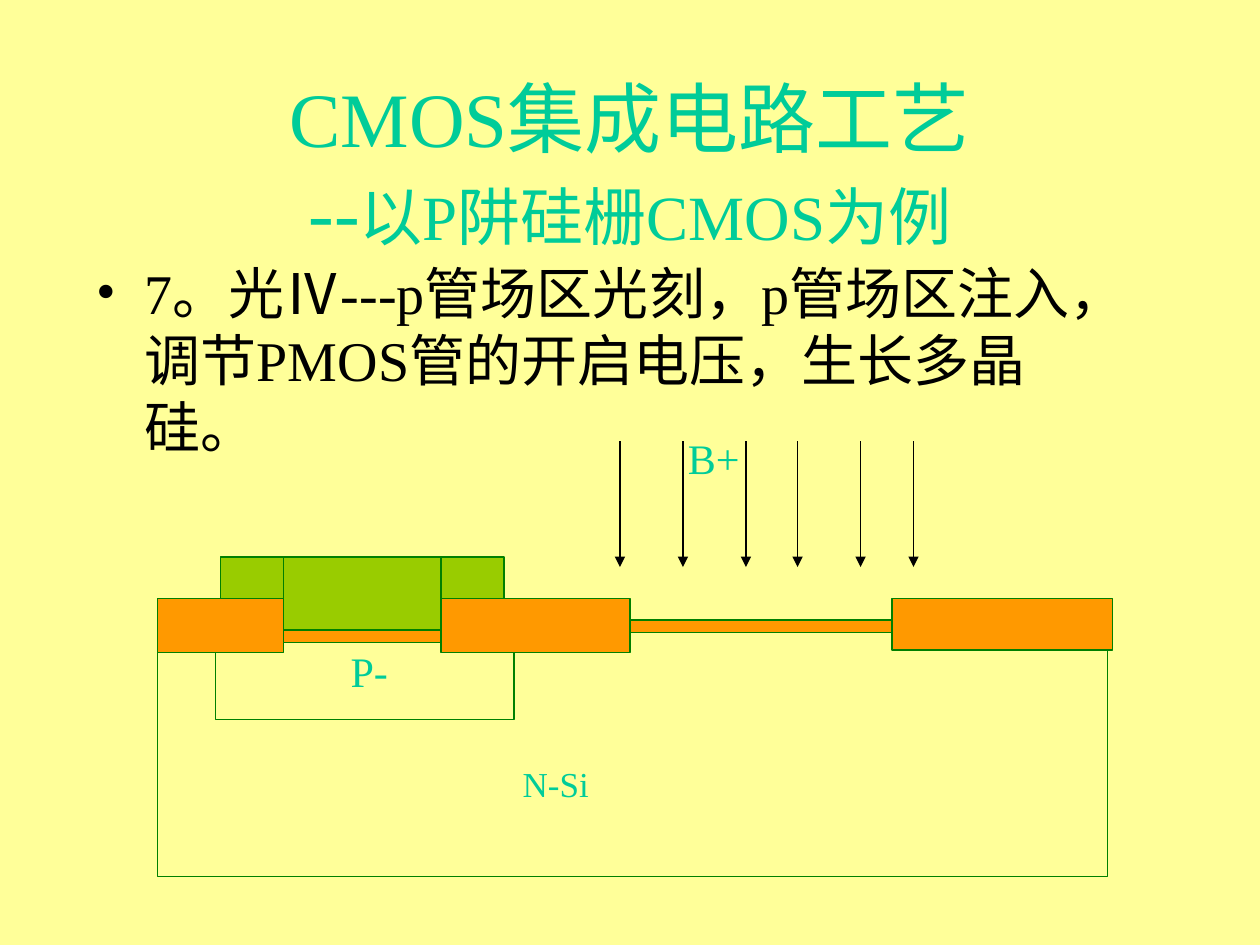
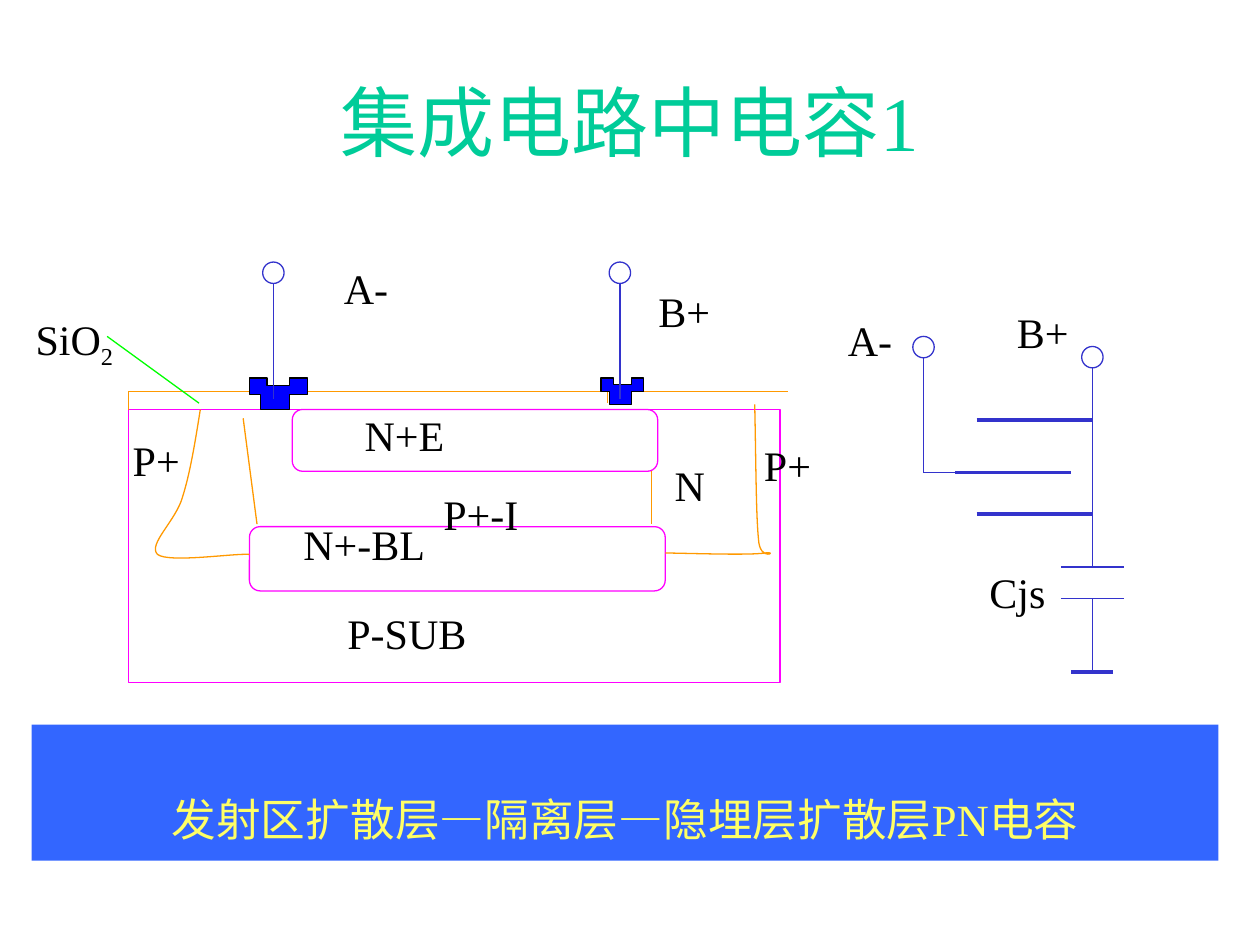
from dataclasses import dataclass

from lxml.etree import SubElement
from pptx import Presentation
from pptx.dml.color import RGBColor
from pptx.enum.shapes import MSO_CONNECTOR, MSO_SHAPE
from pptx.enum.text import MSO_ANCHOR, PP_ALIGN
from pptx.oxml.ns import qn
from pptx.shapes.autoshape import Shape
from pptx.slide import Slide
from pptx.util import Inches, Pt

FONT = "Times New Roman"
COLORS = {
    "cream": "FFFF99",
    "white": "FFFFFF",
    "teal": "00CC99",
    "black": "000000",
    "green": "008000",
    "oxide": "FF9900",
    "poly": "99CC00",
    "magenta": "FF00FF",
    "metal": "0000FF",
    "lime": "00FF00",
    "circuit": "3333CC",
    "band": "3366FF",
    "yellow": "FFFF66",
}
Point = tuple[float, float]


@dataclass
class Words:
    text: str
    size: float = 24
    color: str = "black"
    baseline: int = 0


@dataclass
class Label:
    left: float
    top: float
    width: float
    height: float
    words: list[Words]
    align: PP_ALIGN = PP_ALIGN.CENTER
    anchor: MSO_ANCHOR = MSO_ANCHOR.MIDDLE


@dataclass
class Region:
    left: float
    top: float
    width: float
    height: float
    fill: str = ""
    line: str = "green"
    kind: MSO_SHAPE = MSO_SHAPE.RECTANGLE


@dataclass
class Wire:
    start: Point
    end: Point
    color: str = "circuit"
    weight: float = 0.75
    arrow: bool = False


def rgb(name: str) -> RGBColor:
    return RGBColor.from_string(COLORS[name])


def new_slide(deck: Presentation, background: str) -> Slide:
    slide = deck.slides.add_slide(deck.slide_layouts[6])
    slide.background.fill.solid()
    slide.background.fill.fore_color.rgb = rgb(background)
    return slide


def paint(shape: Shape, fill: str, line: str) -> None:
    shape.shadow.inherit = False
    if fill:
        shape.fill.solid()
        shape.fill.fore_color.rgb = rgb(fill)
    else:
        shape.fill.background()
    if line:
        shape.line.color.rgb = rgb(line)
        shape.line.width = Pt(0.75)
    else:
        shape.line.fill.background()


def write(shape: Shape, label: Label, bullet: str = "") -> None:
    frame = shape.text_frame
    frame.word_wrap = True
    frame.vertical_anchor = label.anchor
    paragraph = frame.paragraphs[0]
    paragraph.alignment = label.align
    if bullet:
        properties = paragraph._p.get_or_add_pPr()
        properties.set("marL", str(Inches(0.38)))
        properties.set("indent", str(-Inches(0.38)))
        properties.set("hangingPunct", "0")
        SubElement(properties, qn("a:buFont")).set("typeface", FONT)
        SubElement(properties, qn("a:buChar")).set("char", bullet)
    for words in label.words:
        for index, line in enumerate(words.text.split("\n")):
            if index:
                paragraph.add_line_break()
            run = paragraph.add_run()
            run.text = line
            run.font.name = FONT
            run.font.size = Pt(words.size)
            run.font.color.rgb = rgb(words.color)
            if words.baseline:
                run._r.get_or_add_rPr().set("baseline", str(words.baseline * 1000))


def draw_label(slide: Slide, label: Label, bullet: str = "") -> None:
    area = map(Inches, (label.left, label.top, label.width, label.height))
    write(slide.shapes.add_textbox(*area), label, bullet)


def draw_title(slide: Slide, top: float, words: list[Words]) -> None:
    draw_label(slide, Label(0.75, top, 8.5, 1.25, words))


def draw_region(slide: Slide, region: Region) -> Shape:
    area = map(Inches, (region.left, region.top, region.width, region.height))
    shape = slide.shapes.add_shape(region.kind, *area)
    paint(shape, region.fill, region.line)
    return shape


def draw_wire(slide: Slide, wire: Wire) -> None:
    ends = map(Inches, (*wire.start, *wire.end))
    connector = slide.shapes.add_connector(MSO_CONNECTOR.STRAIGHT, *ends)
    connector.line.color.rgb = rgb(wire.color)
    connector.line.width = Pt(wire.weight)
    if wire.arrow:
        SubElement(connector.line._get_or_add_ln(), qn("a:tailEnd")).set("type", "triangle")
    SubElement(connector._element.spPr, qn("a:effectLst"))


def draw_outline(slide: Slide, points: list[Point], fill: str, line: str, close: bool) -> Shape:
    corners = [(Inches(x), Inches(y)) for x, y in points]
    builder = slide.shapes.build_freeform(*corners[0])
    builder.add_line_segments(corners[1:], close=close)
    shape = builder.convert_to_shape()
    paint(shape, fill, line)
    return shape


def draw_junction(slide: Slide, nodes: list[Point]) -> None:
    junction = draw_outline(slide, nodes, "", "oxide", False)
    segments = list(junction._element.iter(qn("a:lnTo")))
    outline = segments[0].getparent()
    for first in range(0, len(segments), 3):
        curve = SubElement(outline, qn("a:cubicBezTo"))
        for segment in segments[first:first + 3]:
            curve.append(segment[0])
            outline.remove(segment)


def draw_contact(slide: Slide, xs: tuple[float, ...], ys: tuple[float, ...]) -> None:
    left, stem, notch_left, notch_right, right = xs
    top, notch, shoulder, foot = ys
    draw_outline(slide, [
        (left, shoulder), (left, top), (notch_left, top), (notch_left, notch),
        (notch_right, notch), (notch_right, top), (right, top), (right, shoulder),
        (notch_right, shoulder), (notch_right, foot), (stem, foot), (stem, shoulder),
    ], "metal", "black", True)


def draw_terminal(slide: Slide, x: float, top: float, bottom: float) -> None:
    size = 0.17
    draw_region(slide, Region(x - size / 2, top, size, size, line="circuit", kind=MSO_SHAPE.OVAL))
    draw_wire(slide, Wire((x, top + size), (x, bottom)))


def build_implant_slide(deck: Presentation) -> None:
    slide = new_slide(deck, "cream")
    draw_title(slide, 0.67, [
        Words("CMOS集成电路工艺\n--", 44, "teal"),
        Words("以P阱硅栅CMOS为例", 36, "teal"),
    ])
    step = "7。光Ⅳ---p管场区光刻，p管场区注入， 调节PMOS管的开启电压，生长多晶硅。"
    draw_label(slide, Label(0.67, 2, 8.4, 4.5, [Words(step, 32)], PP_ALIGN.LEFT,
                            MSO_ANCHOR.TOP), "•")

    well = Region(1.71, 5, 2.37, 0.71)
    substrate = Region(1.25, 5, 7.54, 1.96)
    field_oxides = [
        Region(left, 4.75, width, height, "oxide")
        for left, width, height in ((1.25, 1, 0.43), (3.5, 1.5, 0.43), (7.08, 1.75, 0.41))
    ]
    thin_oxides = [Region(2.25, 5, 1.25, 0.1, "oxide"), Region(5, 4.92, 2.08, 0.1, "oxide")]
    resist = [
        Region(left, 4.42, width, height, "poly")
        for left, width, height in ((2.25, 1.25, 0.58), (1.75, 0.5, 0.33), (3.5, 0.5, 0.33))
    ]
    for region in [well, substrate, *field_oxides, *thin_oxides, *resist]:
        draw_region(slide, region)

    for x in (4.92, 5.42, 5.92, 6.33, 6.83, 7.25):
        draw_wire(slide, Wire((x, 3.5), (x, 4.5), "black", arrow=True))
    for label in (
        Label(4.05, 6, 0.9, 0.44, [Words("N-Si", 20, "teal")], PP_ALIGN.LEFT, MSO_ANCHOR.TOP),
        Label(2.47, 5.14, 0.92, 0.36, [Words("P-", color="teal")]),
        Label(5.33, 3.42, 0.67, 0.42, [Words("B+", color="teal")]),
    ):
        draw_label(slide, label)


def build_capacitor_slide(deck: Presentation) -> None:
    slide = new_slide(deck, "white")
    draw_title(slide, 0.33, [Words("集成电路中电容1", 44, "teal")])

    rounded = MSO_SHAPE.ROUNDED_RECTANGLE
    for region in (
        Region(1.02, 3.25, 5.17, 2.17, line="magenta"),
        Region(1.98, 4.18, 3.3, 0.51, line="magenta", kind=rounded),
        Region(2.32, 3.25, 2.9, 0.49, line="magenta", kind=rounded),
    ):
        draw_region(slide, region)

    draw_junction(slide, [
        (1.59, 3.25), (1.55, 3.5), (1.51, 3.75), (1.45, 3.94), (1.4, 4.13),
        (1.17, 4.32), (1.25, 4.4), (1.34, 4.47), (1.86, 4.39), (1.98, 4.4),
    ])
    draw_junction(slide, [
        (5.99, 3.21), (6, 3.65), (6, 4.08), (6.02, 4.28), (6.03, 4.47),
        (6.19, 4.37), (6.07, 4.39), (5.94, 4.41), (5.41, 4.39), (5.28, 4.39),
    ])
    for start, end in (
        ((1.02, 3.25), (1.02, 3.11)),
        ((1.02, 3.11), (2.04, 3.11)),
        ((2.1, 3.07), (2.1, 3.25)),
        ((2.27, 3.07), (2.27, 3.25)),
        ((2.27, 3.11), (4.82, 3.11)),
        ((4.82, 3.11), (4.82, 3.2)),
        ((4.99, 3.2), (4.99, 3.11)),
        ((4.99, 3.11), (6.25, 3.11)),
        ((1.93, 3.32), (2.04, 4.16)),
        ((5.17, 3.74), (5.17, 4.16)),
    ):
        draw_wire(slide, Wire(start, end, "oxide"))
    draw_contact(slide, (1.98, 2.07, 2.12, 2.3, 2.44), (3, 3.06, 3.13, 3.25))
    draw_contact(slide, (4.77, 4.84, 4.87, 5.01, 5.11), (3, 3.05, 3.11, 3.21))
    draw_wire(slide, Wire((0.85, 2.67), (1.58, 3.2), "lime"))

    for x, top, bottom in (
        (2.17, 2.08, 3.17), (4.92, 2.08, 3.17), (7.33, 2.67, 3.75), (8.67, 2.75, 4.5),
    ):
        draw_terminal(slide, x, top, bottom)
    for y in (4.5, 4.75):
        draw_wire(slide, Wire((8.42, y), (8.92, y)))
    draw_wire(slide, Wire((8.67, 4.75), (8.67, 5.33)))
    draw_wire(slide, Wire((7.33, 3.75), (7.83, 3.75)))
    for left, right, y in (
        (8.5, 8.83, 5.33), (7.58, 8.5, 3.75), (7.75, 8.67, 4.08), (7.75, 8.67, 3.33),
    ):
        draw_wire(slide, Wire((left, y), (right, y), weight=2.25))

    for text, *area in (
        ("A-", 2.58, 2, 0.65, 0.56),
        ("B+", 5.08, 2.25, 0.7, 0.43),
        ("A-", 6.58, 2.42, 0.65, 0.56),
        ("B+", 7.92, 2.42, 0.71, 0.43),
        ("P+", 0.89, 3.51, 0.7, 0.27),
        ("P+", 5.9, 3.53, 0.7, 0.31),
        ("N+E", 2.71, 3.32, 1, 0.26),
        ("N", 5.22, 3.53, 0.51, 0.63),
        ("N+-BL", 2.24, 4.18, 1.3, 0.27),
        ("P-SUB", 2.58, 4.89, 1.3, 0.27),
        ("Cjs", 7.75, 4.42, 0.65, 0.56),
    ):
        draw_label(slide, Label(*area, [Words(text)]))
    draw_label(slide, Label(0.09, 2.58, 1, 0.27, [Words("SiO"), Words("2", baseline=-25)]))
    draw_label(slide, Label(3.42, 3.83, 1.17, 0.5, [Words("P+-I")], PP_ALIGN.LEFT,
                            MSO_ANCHOR.TOP))

    summary = Words("发射区扩散层—隔离层—隐埋层扩散层PN电容", 44, "yellow", -25)
    area = (0.25, 5.75, 9.42, 1.08)
    band = draw_region(slide, Region(*area, fill="band", line=""))
    write(band, Label(*area, [summary]))


def main() -> None:
    deck = Presentation()
    deck.slide_width = Inches(10)
    deck.slide_height = Inches(7.5)
    build_implant_slide(deck)
    build_capacitor_slide(deck)
    deck.save("out.pptx")


if __name__ == "__main__":
    main()
